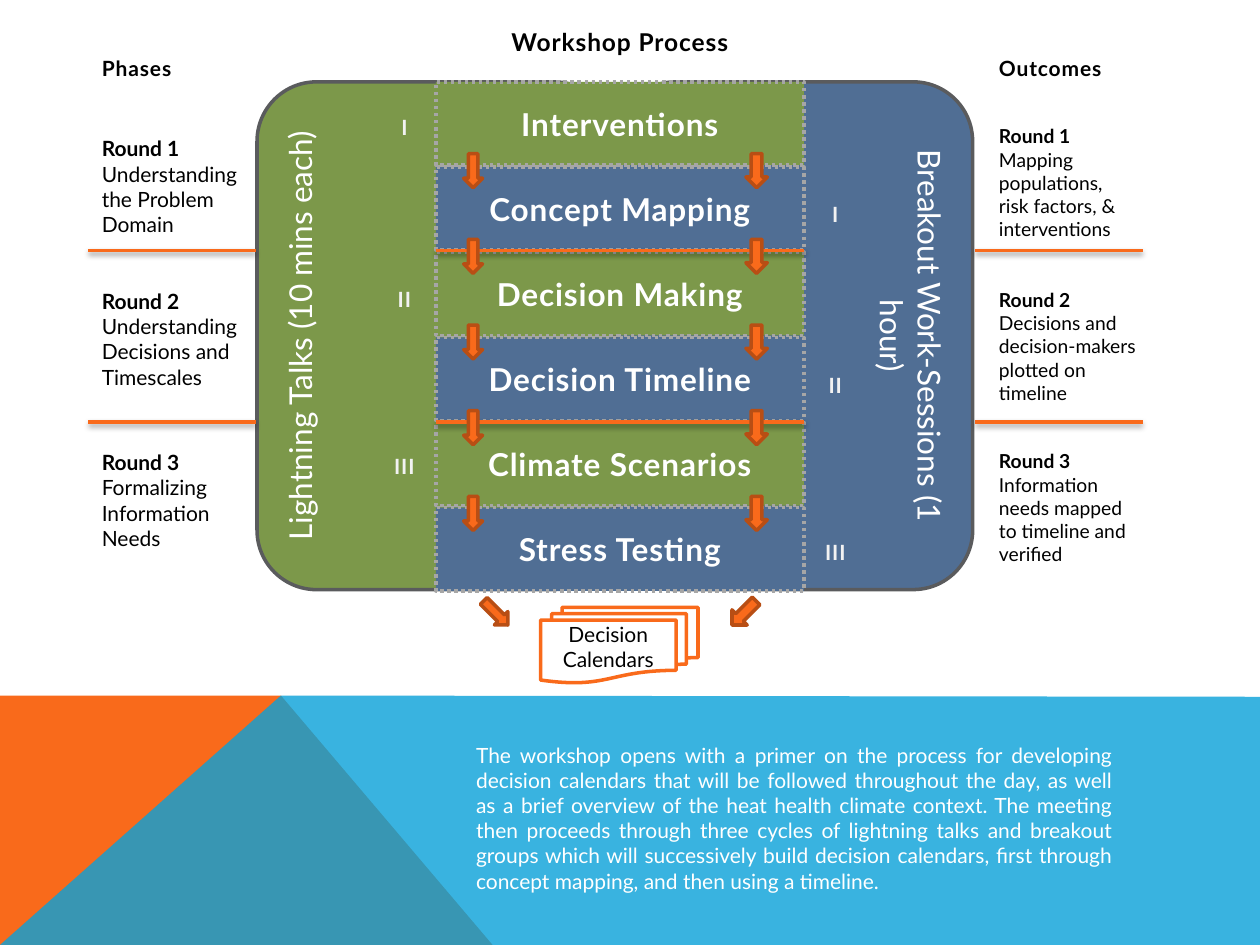
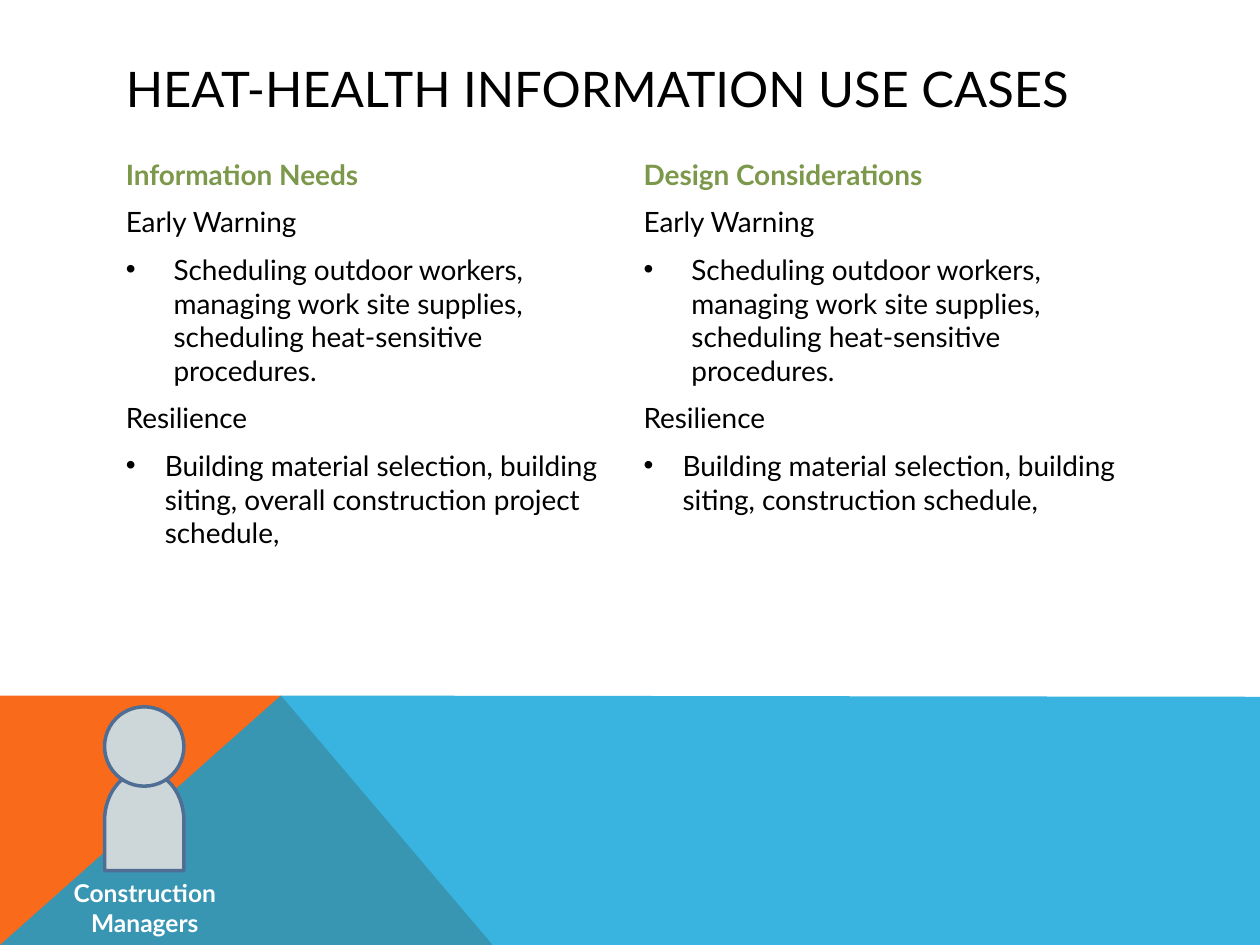
from lxml.etree import SubElement
from pptx import Presentation
from pptx.dml.color import RGBColor
from pptx.enum.dml import MSO_LINE
from pptx.enum.shapes import MSO_CONNECTOR, MSO_SHAPE as Shape
from pptx.enum.text import MSO_ANCHOR as Anchor, PP_ALIGN as Align
from pptx.oxml.ns import qn
from pptx.util import Inches, Pt

WHITE = RGBColor(0xFF, 0xFF, 0xFF)
BLACK = RGBColor(0x00, 0x00, 0x00)
ORANGE = RGBColor(0xF9, 0x6A, 0x1B)
RUST = RGBColor(0xB8, 0x4E, 0x14)
SKY = RGBColor(0x08, 0xA1, 0xD9)
GREEN = RGBColor(0x7C, 0x98, 0x4A)
BLUE = RGBColor(0x50, 0x6E, 0x94)
SLATE = RGBColor(0x5A, 0x5B, 0x5D)
GREY = RGBColor(0xA6, 0xA6, 0xA6)
PALE = RGBColor(0xF2, 0xF2, 0xF2)
SILVER = RGBColor(0xCD, 0xD7, 0xD9)
FONT = "Lato"

FOOTER_BANDS = [
    ([(0, 7.5), (0, 5.52), (2.23, 5.52), (3.91, 7.5)], ORANGE, 100),
    ([(0, 7.5), (2.23, 5.52), (10, 5.53), (10, 7.5)], SKY, 80),
]

SIDE_PANELS = [
    ("Breakout Work-Sessions (1 hour)", 4.89, BLUE, "vert"),
    ("Lightning Talks (10 mins each)", 2.04, GREEN, "vert270"),
]
STEPS = ["Interventions", "Concept Mapping", "Decision Making",
         "Decision Timeline", "Climate Scenarios", "Stress Testing"]
HEADINGS = [
    ("Workshop Process", 3.46, 0.14, 14, Align.CENTER),
    ("Phases", 0.71, 0.33, 12, Align.LEFT),
    ("Outcomes", 7.83, 0.33, 12, Align.LEFT),
]
ROUND_NUMERALS = ["I", "II", "III"]
NUMERAL_COLUMNS = [(2.96, [0.8, 2.16, 3.49]), (6.38, [1.49, 2.85, 4.17])]
ROUND_COLUMNS = [
    (0.71, 12, [1.03, 2.24, 3.52], [
        "Understanding the Problem Domain",
        "Understanding Decisions and Timescales",
        "Formalizing Information Needs",
    ]),
    (7.83, 11, [0.94, 2.24, 3.52], [
        "Mapping populations, \nrisk factors, & interventions",
        "Decisions and decision-makers plotted on timeline",
        "Information needs mapped to timeline and verified",
    ]),
]
DIVIDER_ROWS = [1.99, 3.35]
DIVIDER_SPANS = [(0.7, 2.03), (3.46, 6.38), (7.74, 9.07)]
ARROW_COLUMNS = [(3.68, 0.15), (5.92, 0.17)]
EXIT_ARROWS = [(3.86, 0.15, 315), (5.82, 0.17, 45)]
SUMMARY = (
    "The workshop opens with a primer on the process for developing decision "
    "calendars that will be followed throughout the day, as well as a brief "
    "overview of the heat health climate context. The meeting then proceeds "
    "through three cycles of lightning talks and breakout groups which will "
    "successively build decision calendars, first through concept mapping, "
    "and then using a timeline."
)

USE_CASE_TITLE = "HEAT-HEALTH INFORMATION USE CASES"
WORK_SCHEDULING = ("Scheduling outdoor workers, managing work site supplies, "
                   "scheduling heat-sensitive procedures.")
USE_CASES = [
    (0.9, "Information Needs",
     "Building material selection, building siting, overall construction project schedule,"),
    (5.01, "Design Considerations",
     "Building material selection, building siting, construction schedule,"),
]
AUDIENCE = "Construction Managers"


def add_span(para, text, size, color=BLACK, bold=False, spacing=0):
    for index, piece in enumerate(text.split("\n")):
        if index:
            para.add_line_break()
        span = para.add_run()
        span.text = piece
        span.font.name = FONT
        span.font.size = Pt(size)
        span.font.bold = bold
        span.font.color.rgb = color
        if spacing:
            span.font._element.set("spc", str(int(spacing * 100)))


def add_box(slide, left, top, width, height, anchor=Anchor.TOP):
    box = slide.shapes.add_textbox(Inches(left), Inches(top), Inches(width), Inches(height))
    box.text_frame.word_wrap = True
    box.text_frame.vertical_anchor = anchor
    return box.text_frame


def add_label(slide, place, text, size, color=BLACK, bold=False, spacing=0,
              align=Align.LEFT, anchor=Anchor.TOP):
    para = add_box(slide, *place, anchor).paragraphs[0]
    para.alignment = align
    add_span(para, text, size, color, bold, spacing)


def add_figure(shapes, kind, place, fill, line, rotation=0):
    figure = shapes.add_shape(kind, *map(Inches, place))
    figure.shadow.inherit = False
    figure.fill.solid()
    figure.fill.fore_color.rgb = fill
    figure.line.color.rgb = line
    figure.line.width = Pt(2)
    figure.rotation = rotation
    return figure


def fill_figure(figure, text, size, color=WHITE, bold=False, spacing=0):
    figure.text_frame.word_wrap = True
    para = figure.text_frame.paragraphs[0]
    para.alignment = Align.CENTER
    add_span(para, text, size, color, bold, spacing)


def add_divider(slide, start, end, top):
    line = slide.shapes.add_connector(
        MSO_CONNECTOR.STRAIGHT, Inches(start), Inches(top), Inches(end), Inches(top))
    line.line.color.rgb = ORANGE
    line.line.width = Pt(2)
    effects = SubElement(line._element.spPr, qn("a:effectLst"))
    shadow = SubElement(effects, qn("a:outerShdw"), blurRad=str(Pt(3.1)), dist=str(Pt(1.6)),
                        dir="5400000", rotWithShape="0")
    tint = SubElement(shadow, qn("a:srgbClr"), val=str(BLACK))
    SubElement(tint, qn("a:alpha"), val="38000")


def add_page(deck):
    page = deck.slides.add_slide(deck.slide_layouts[6])
    for corners, color, opacity in FOOTER_BANDS:
        points = [(Inches(x), Inches(y)) for x, y in corners]
        outline = page.shapes.build_freeform(*points[0], scale=1.0)
        outline.add_line_segments(points[1:], close=True)
        band = outline.convert_to_shape()
        band.shadow.inherit = False
        band.fill.solid()
        band.fill.fore_color.rgb = color
        band.line.fill.background()
        if opacity < 100:
            tint = band._element.spPr.find(qn("a:solidFill"))[0]
            SubElement(tint, qn("a:alpha"), val=str(opacity * 1000))
    return page


def build_process(deck):
    page = add_page(deck)
    for text, left, color, direction in SIDE_PANELS:
        panel = add_figure(page.shapes, Shape.ROUNDED_RECTANGLE,
                           (left, 0.65, 2.83, 4.03), color, SLATE)
        panel.text_frame.vertical_anchor = Anchor.TOP
        panel.text_frame._txBody.bodyPr.set("vert", direction)
        fill_figure(panel, text, 18)

    for index, step in enumerate(STEPS):
        band = add_figure(page.shapes, Shape.RECTANGLE,
                          (3.46, 0.65 + 0.676 * index, 2.92, 0.66),
                          BLUE if index % 2 else GREEN, GREY)
        band.line.dash_style = MSO_LINE.ROUND_DOT
        fill_figure(band, step, 18, bold=True, spacing=0.5)

    for top in DIVIDER_ROWS:
        for start, end in DIVIDER_SPANS:
            add_divider(page, start, end, top)

    add_label(page, (3.68, 5.84, 5.25, 1.31), SUMMARY, 12, WHITE, align=Align.JUSTIFY)
    for text, left, top, size, align in HEADINGS:
        add_label(page, (left, top, 2.92, 0.36), text, size, bold=True, spacing=0.5,
                  align=align, anchor=Anchor.BOTTOM)
    for left, tops in NUMERAL_COLUMNS:
        for numeral, top in zip(ROUND_NUMERALS, tops):
            add_label(page, (left, top, 0.5, 0.36), numeral, 12, PALE, True, 0.5,
                      Align.CENTER, Anchor.BOTTOM)
    for left, size, tops, goals in ROUND_COLUMNS:
        for number, (top, goal) in enumerate(zip(tops, goals), 1):
            para = add_box(page, left, top, 1.33, 0.91).paragraphs[0]
            add_span(para, f"Round {number} ", size, bold=True)
            add_span(para, goal, size)

    calendars = add_figure(page.shapes, Shape.FLOWCHART_MULTIDOCUMENT,
                           (4.29, 4.82, 1.25, 0.6), WHITE, ORANGE)
    calendars.text_frame.margin_bottom = Inches(0.1)
    fill_figure(calendars, "Decision Calendars", 12, BLACK)

    arrows = [(left, 1.22 + 0.68 * row, width, 0)
              for row in range(len(STEPS) - 1) for left, width in ARROW_COLUMNS]
    arrows += [(left, 4.73, width, turn) for left, width, turn in EXIT_ARROWS]
    for left, top, width, turn in arrows:
        add_figure(page.shapes, Shape.DOWN_ARROW, (left, top, width, 0.27), ORANGE, RUST, turn)


def build_use_cases(deck):
    page = add_page(deck)
    add_label(page, (0.9, 0.4, 8.22, 0.6), USE_CASE_TITLE, 28, anchor=Anchor.MIDDLE)

    for left, heading, resilience in USE_CASES:
        lines = [(heading, GREEN, 0), ("Early Warning", BLACK, 0),
                 (WORK_SCHEDULING, BLACK, 0.38), ("Resilience", BLACK, 0),
                 (resilience, BLACK, 0.31)]
        frame = add_box(page, left, 1.2, 4.1, 3.91)
        for index, (text, color, indent) in enumerate(lines):
            para = frame.add_paragraph() if index else frame.paragraphs[0]
            para.space_before = Pt(8)
            add_span(para, text, 16, color, bold=color == GREEN)
            if indent:
                settings = para._p.get_or_add_pPr()
                settings.set("marL", str(Inches(indent)))
                settings.set("indent", str(-Inches(indent)))
                SubElement(settings, qn("a:buFont"), typeface="Arial")
                SubElement(settings, qn("a:buChar"), char="•")

    person = page.shapes.add_group_shape()
    add_figure(person.shapes, Shape.FLOWCHART_DELAY, (0.75, 6.2, 0.79, 0.63), SILVER, BLUE, 270)
    add_figure(person.shapes, Shape.OVAL, (0.83, 5.61, 0.63, 0.63), SILVER, BLUE)
    add_label(page, (0.38, 6.92, 1.54, 0.57), AUDIENCE, 14, WHITE, True, align=Align.CENTER)


def main():
    deck = Presentation()
    deck.slide_width = Inches(10)
    deck.slide_height = Inches(7.5)
    build_process(deck)
    build_use_cases(deck)
    deck.save("out.pptx")


if __name__ == "__main__":
    main()
